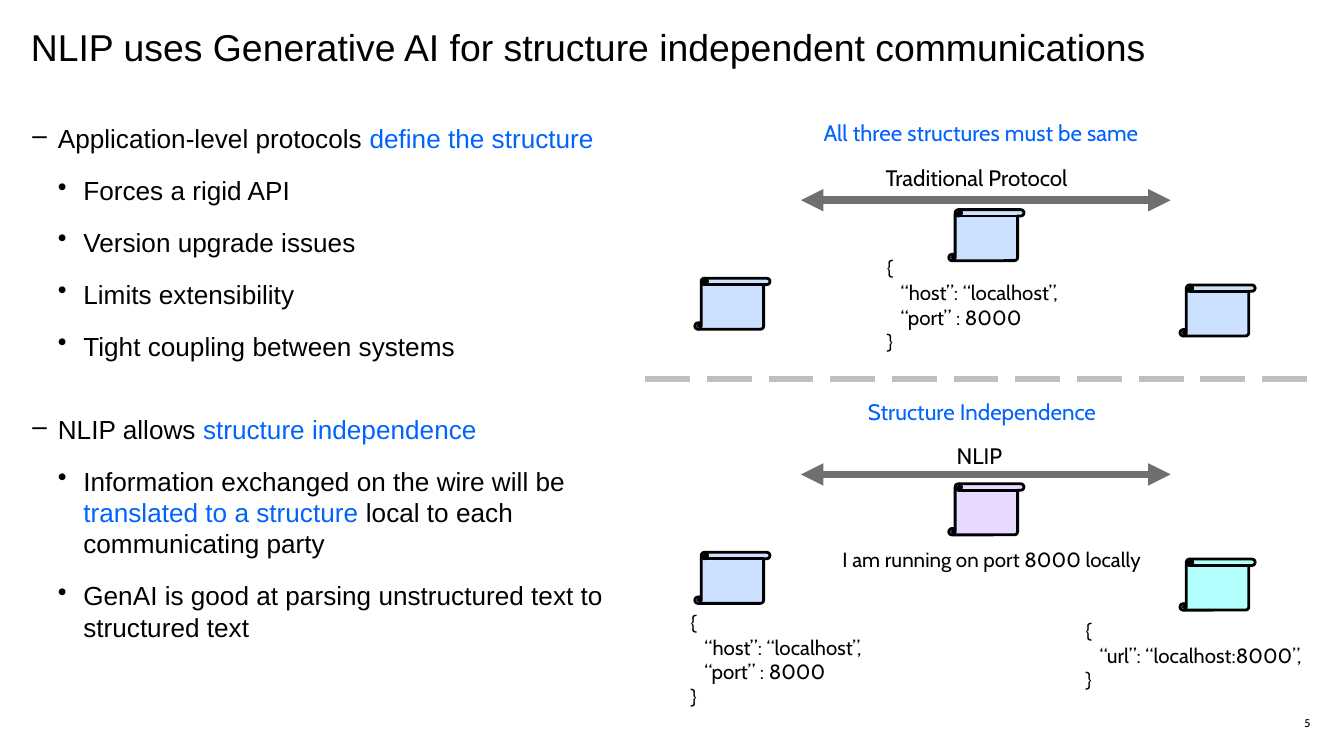
from dataclasses import dataclass

from lxml import etree
from pptx import Presentation
from pptx.dml.color import RGBColor
from pptx.enum.dml import MSO_LINE
from pptx.enum.shapes import MSO_CONNECTOR, MSO_SHAPE
from pptx.enum.text import MSO_ANCHOR, PP_ALIGN
from pptx.oxml.ns import qn
from pptx.util import Inches, Pt

STRAIGHT = MSO_CONNECTOR.STRAIGHT
SCROLL = MSO_SHAPE.VERTICAL_SCROLL
LONG_DASH = MSO_LINE.LONG_DASH
MIDDLE = MSO_ANCHOR.MIDDLE
RIGHT = PP_ALIGN.RIGHT

BLACK, BLUE = "000000", "0062FF"
ARROW_GREY, DIVIDER_GREY = "6F6F6F", "BFBFBF"
PALE_BLUE, PALE_PURPLE, PALE_CYAN = "CCE0FF", "E8D9FE", "B2FFFD"
BULLET_INDENT = 0.19
LABEL_SIZE, MESSAGE_SIZE = 12, 11

HOST_PORT = ["{", "   “host”: “localhost”,", "   “port” : 8000", "}"]
URL = ["{", "   “url”: “localhost:8000”,", "}"]


@dataclass
class Bullet:
    level: int
    runs: list[tuple[str, str]]
    space_before: float = 11


@dataclass
class Label:
    left: float
    top: float
    width: float
    height: float
    lines: list[str]
    size: float = LABEL_SIZE
    color: str = BLACK


@dataclass
class Exchange:
    """One protocol: its arrow height and the left, middle and right scrolls."""
    arrow_y: float
    scroll_fills: tuple[str, str, str]


BULLETS = [
    Bullet(1, [("Application-level protocols ", BLACK), ("define the structure", BLUE)], 0),
    Bullet(2, [("Forces a rigid API", BLACK)]),
    Bullet(2, [("Version upgrade issues", BLACK)]),
    Bullet(2, [("Limits extensibility", BLACK)]),
    Bullet(2, [("Tight coupling between systems", BLACK)]),
    Bullet(1, [("NLIP allows ", BLACK), ("structure independence", BLUE)], 27.8),
    Bullet(2, [("Information exchanged on the wire will be ", BLACK),
               ("translated to a structure", BLUE),
               (" local to each communicating party", BLACK)]),
    Bullet(2, [("GenAI is good at parsing unstructured text to structured text", BLACK)]),
]

EXCHANGES = [
    Exchange(1.49, (PALE_BLUE, PALE_BLUE, PALE_BLUE)),
    Exchange(3.53, (PALE_BLUE, PALE_PURPLE, PALE_CYAN)),
]
SCROLL_OFFSETS = [(5.17, 0.58), (7.06, 0.07), (8.78, 0.63)]

LABELS = [
    Label(6.03, 0.84, 2.77, 0.3, ["All three structures must be same"], color=BLUE),
    Label(6.49, 1.17, 1.69, 0.3, ["Traditional Protocol"]),
    Label(6.5, 1.85, 1.67, 0.84, HOST_PORT, MESSAGE_SIZE),
    Label(6.36, 2.91, 2.06, 0.3, ["Structure Independence"], color=BLUE),
    Label(7.02, 3.24, 0.57, 0.3, ["NLIP"]),
    Label(6.17, 4.02, 2.51, 0.29, ["I am running on port 8000 locally"], MESSAGE_SIZE),
    Label(5.04, 4.49, 1.67, 0.84, HOST_PORT, MESSAGE_SIZE),
    Label(7.98, 4.55, 1.97, 0.66, URL, MESSAGE_SIZE),
]


def rgb(color: str) -> RGBColor:
    return RGBColor.from_string(color)


def add_run(paragraph, text: str, font: str, size: float, color: str) -> None:
    run = paragraph.add_run()
    run.text = text
    for name, value in {"name": font, "size": Pt(size)}.items():
        setattr(run.font, name, value)
    run.font.color.rgb = rgb(color)


def add_box(slide, left: float, top: float, width: float, height: float):
    box = slide.shapes.add_textbox(Inches(left), Inches(top), Inches(width), Inches(height))
    return box.text_frame


def add_frame(slide, left: float, top: float, width: float, height: float):
    """Return the text frame of a new wrapping box without margins."""
    frame = add_box(slide, left, top, width, height)
    for name, value in {"word_wrap": True, "margin_left": 0, "margin_right": 0,
                        "margin_top": 0, "margin_bottom": 0}.items():
        setattr(frame, name, value)
    return frame


def add_bullets(slide, bullets: list[Bullet]) -> None:
    frame = add_frame(slide, 0.24, 0.91, 4.51, 4.19)
    for index, bullet in enumerate(bullets):
        paragraph = frame.add_paragraph() if index else frame.paragraphs[0]
        properties = paragraph._p.get_or_add_pPr()
        properties.set("marL", str(Inches(BULLET_INDENT * bullet.level)))
        properties.set("indent", str(-Inches(BULLET_INDENT)))
        mark = etree.SubElement(properties, qn("a:buChar"))
        mark.set("char", "–" if bullet.level == 1 else "•")
        paragraph.level = bullet.level - 1
        paragraph.space_before = Pt(bullet.space_before)
        for text, color in bullet.runs:
            add_run(paragraph, text, "Arial", 14, color)


def add_label(slide, label: Label) -> None:
    frame = add_box(slide, label.left, label.top, label.width, label.height)
    frame.word_wrap = False
    for index, line in enumerate(label.lines):
        paragraph = frame.add_paragraph() if index else frame.paragraphs[0]
        add_run(paragraph, line, "Cabin", label.size, label.color)


def add_line(slide, start: float, end: float, y: float, color: str, width: float):
    connector = slide.shapes.add_connector(
        STRAIGHT, Inches(start), Inches(y), Inches(end), Inches(y))
    connector.line.color.rgb = rgb(color)
    connector.line.width = Pt(width)
    etree.SubElement(connector._element.spPr, qn("a:effectLst"))
    return connector


def add_exchange(slide, exchange: Exchange) -> None:
    arrow = add_line(slide, 5.96, 8.71, exchange.arrow_y, ARROW_GREY, 4)
    outline = arrow._element.spPr.find(qn("a:ln"))
    for end in ("a:headEnd", "a:tailEnd"):
        etree.SubElement(outline, qn(end)).set("type", "triangle")
    for (left, offset), fill in zip(SCROLL_OFFSETS, exchange.scroll_fills):
        scroll = slide.shapes.add_shape(
            SCROLL, Inches(left), Inches(exchange.arrow_y + offset), Inches(0.56), Inches(0.38))
        scroll.shadow.inherit = False
        scroll.fill.solid()
        scroll.fill.fore_color.rgb = rgb(fill)
        scroll.line.color.rgb = rgb(BLACK)
        scroll.line.width = Pt(1.5)


def main() -> None:
    presentation = Presentation()
    presentation.slide_width = Inches(10)
    presentation.slide_height = Inches(10 * 9 / 16)
    slide = presentation.slides.add_slide(presentation.slide_layouts[6])

    title = add_frame(slide, 0.23, 0.22, 9.77, 0.36).paragraphs[0]
    title.line_spacing = 0.9
    add_run(title, "NLIP uses Generative AI for structure independent communications",
            "Arial", 20, BLACK)
    add_bullets(slide, BULLETS)

    for exchange in EXCHANGES:
        add_exchange(slide, exchange)
    for label in LABELS:
        add_label(slide, label)
    divider = add_line(slide, 4.8, 9.78, 2.82, DIVIDER_GREY, 3)
    divider.line.dash_style = LONG_DASH

    page = add_frame(slide, 7.75, 5.29, 2, 0.18)
    page.vertical_anchor = MIDDLE
    page.paragraphs[0].alignment = RIGHT
    add_run(page.paragraphs[0], "5", "Cabin", 6, BLACK)
    presentation.save("out.pptx")


if __name__ == "__main__":
    main()
